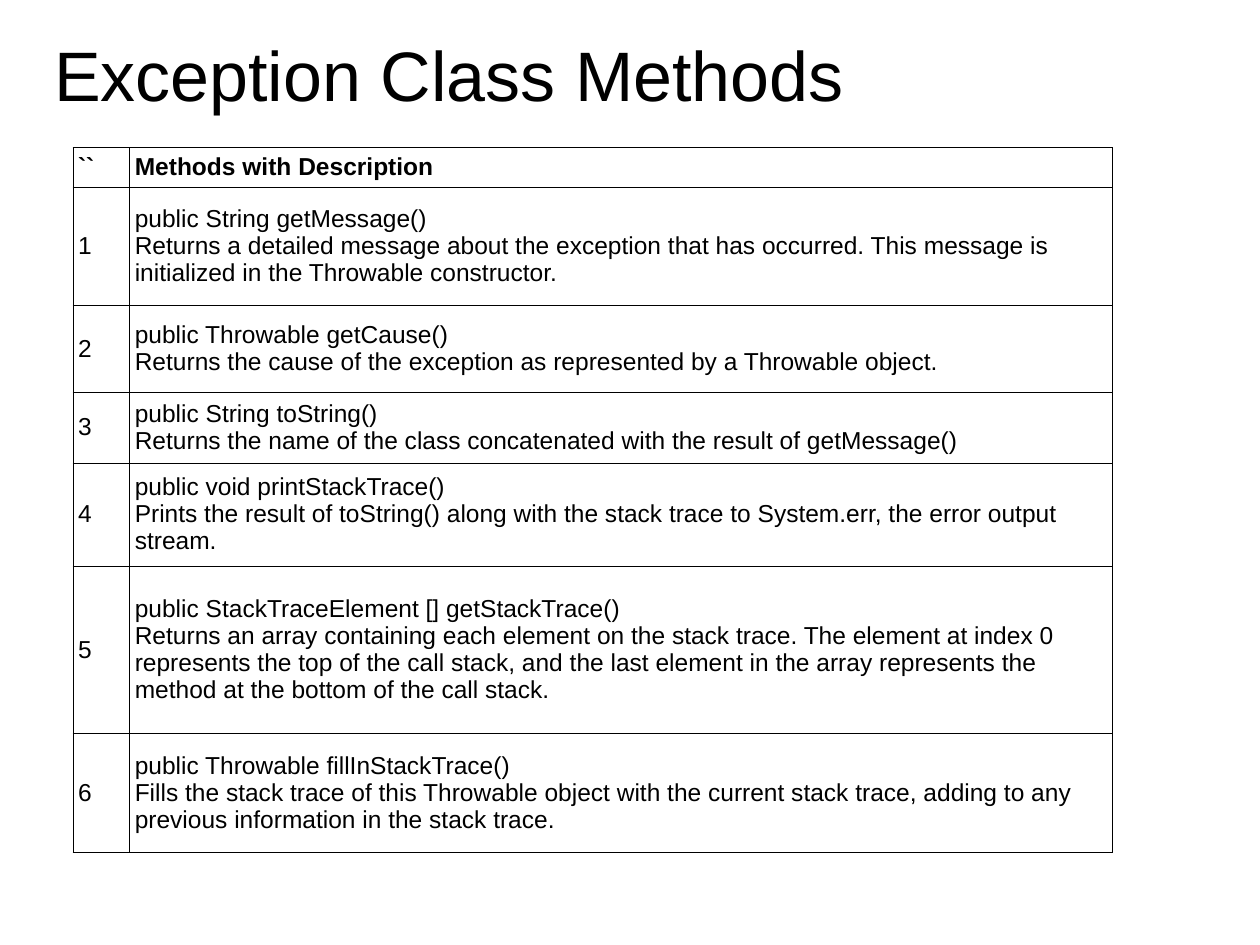
import pptx
import pptx.dml.color
import pptx.enum.text
import pptx.oxml.ns
import pptx.util
from lxml import etree

Inches = pptx.util.Inches
Pt = pptx.util.Pt
COLORS = {"ink": "000000", "paper": "FFFFFF"}
ANCHOR = pptx.enum.text.MSO_ANCHOR.MIDDLE
BORDER_WIDTH = Pt(0.45)
CELL_FORMAT = {
    "margin_left": Inches(0.04),
    "margin_right": Inches(0.04),
    "margin_top": Inches(0.05),
    "margin_bottom": Inches(0.05),
    "vertical_anchor": ANCHOR,
}
TITLE_FORMAT = {"word_wrap": True, "vertical_anchor": ANCHOR}
COLUMN_WIDTHS = [0.45, 7.8]
ROW_HEIGHTS = [0.3, 0.94, 0.69, 0.56, 0.82, 1.33, 0.94]
METHODS = [
    ("public String getMessage()",
     "Returns a detailed message about the exception that has occurred. "
     "This message is initialized in the Throwable constructor."),
    ("public Throwable getCause()",
     "Returns the cause of the exception as represented by a Throwable object."),
    ("public String toString()",
     "Returns the name of the class concatenated with the result of getMessage()"),
    ("public void printStackTrace()",
     "Prints the result of toString() along with the stack trace to System.err, "
     "the error output stream."),
    ("public StackTraceElement [] getStackTrace()",
     "Returns an array containing each element on the stack trace. The element at "
     "index 0 represents the top of the call stack, and the last element in the "
     "array represents the method at the bottom of the call stack."),
    ("public Throwable fillInStackTrace()",
     "Fills the stack trace of this Throwable object with the current stack trace, "
     "adding to any previous information in the stack trace."),
]


def rgb(name):
    """Return the named palette colour."""
    return pptx.dml.color.RGBColor.from_string(COLORS[name])


def apply_format(target, values):
    """Set each attribute in values on the target."""
    for name, value in values.items():
        setattr(target, name, value)


def write_lines(para, lines, size, bold=False):
    """Write lines into one paragraph, separated by line breaks."""
    for index, line in enumerate(lines):
        if index:
            para.add_line_break()
        span = para.add_run()
        span.text = line
        apply_format(span.font, {"name": "Arial", "size": Pt(size), "bold": bold})
        span.font.color.rgb = rgb("ink")


def draw_borders(cell):
    """Draw a thin line on all four sides of a cell."""
    qn = pptx.oxml.ns.qn
    properties = cell._tc.get_or_add_tcPr()
    for index, side in enumerate(("lnL", "lnR", "lnT", "lnB")):
        line = etree.Element(qn(f"a:{side}"), w=str(BORDER_WIDTH))
        fill = etree.SubElement(line, qn("a:solidFill"))
        etree.SubElement(fill, qn("a:srgbClr"), val=COLORS["ink"])
        properties.insert(index, line)


def add_title(page, text, left, top, width, height):
    """Place and format the slide title in the given box."""
    title = page.shapes.title
    apply_format(title, {"left": left, "top": top, "width": width, "height": height})
    apply_format(title.text_frame, TITLE_FORMAT)
    para = title.text_frame.paragraphs[0]
    para.alignment = pptx.enum.text.PP_ALIGN.LEFT
    write_lines(para, [text], 40)


def add_methods_table(page, left, top, width, height):
    """Build the numbered table of methods in the given box."""
    rows = [(["``"], ["Methods with Description"])]
    rows += [([str(number)], lines) for number, lines in enumerate(METHODS, 1)]
    table = page.shapes.add_table(
        len(rows), len(COLUMN_WIDTHS), left, top, width, height).table
    apply_format(table, {"first_row": False, "horz_banding": False})
    for column, share in zip(table.columns, COLUMN_WIDTHS):
        column.width = int(width * share / sum(COLUMN_WIDTHS))
    for row, share in zip(table.rows, ROW_HEIGHTS):
        row.height = int(height * share / sum(ROW_HEIGHTS))
    for row_index, row in enumerate(rows):
        for column_index, lines in enumerate(row):
            cell = table.cell(row_index, column_index)
            apply_format(cell, CELL_FORMAT)
            cell.fill.solid()
            cell.fill.fore_color.rgb = rgb("paper")
            draw_borders(cell)
            para = cell.text_frame.paragraphs[0]
            para.line_spacing = 0.98
            write_lines(para, lines, 14, bold=row_index == 0)


def main():
    """Build the deck and save it."""
    deck = pptx.Presentation()
    apply_format(deck, {"slide_width": Inches(10), "slide_height": Inches(7.5)})
    page = deck.slides.add_slide(deck.slide_layouts[5])
    add_methods_table(page, Inches(0.58), Inches(1.17), Inches(8.25), Inches(5.58))
    add_title(page, "Exception Class Methods",
              Inches(0.33), Inches(0.17), Inches(8.25), Inches(0.83))
    deck.save("out.pptx")


if __name__ == "__main__":
    main()
